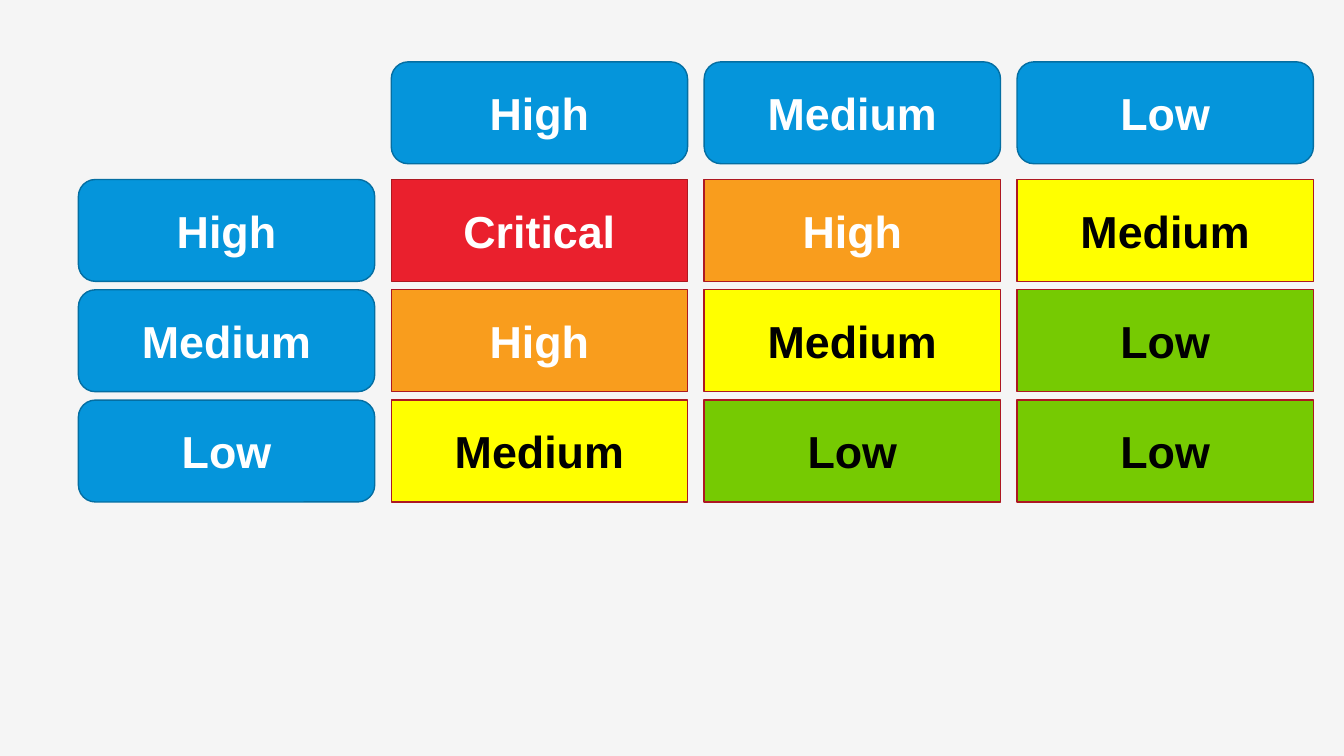
"""Build a slide with a three by three priority matrix."""
from pptx import Presentation
from pptx.dml.color import RGBColor
from pptx.enum.shapes import MSO_SHAPE
from pptx.enum.text import MSO_ANCHOR, PP_ALIGN
from pptx.util import Pt

COLORS = {
    "background": "F5F5F5",
    "header": "0595DB",
    "header_line": "046EA2",
    "cell_line": "AD1821",
    "Critical": "EA202D",
    "High": "F99D1D",
    "Medium": "FFFF00",
    "Low": "76CA02",
    "light": "FFFFFF",
    "dark": "000000",
}
LEVELS = ["High", "Medium", "Low"]
PRIORITIES = [
    ["Critical", "High", "Medium"],
    ["High", "Medium", "Low"],
    ["Medium", "Low", "Low"],
]
CELL_WIDTH, CELL_HEIGHT = 211.7, 72.8
COLUMN_STEP, ROW_STEP = 223.5, 78.8
HEADER_STEP = 84


def color(name):
    return RGBColor.from_string(COLORS[name])


def add_cell(page, kind, left, top, label, fill, line, ink):
    cell = page.shapes.add_shape(
        kind, Pt(left), Pt(top), Pt(CELL_WIDTH), Pt(CELL_HEIGHT))
    cell.shadow.inherit = False
    cell.fill.solid()
    cell.fill.fore_color.rgb = color(fill)
    cell.line.color.rgb = color(line)
    cell.line.width = Pt(1)
    cell.text_frame.vertical_anchor = MSO_ANCHOR.MIDDLE
    para = cell.text_frame.paragraphs[0]
    para.text = label
    para.alignment = PP_ALIGN.CENTER
    para.font.name = "Arial"
    para.font.size = Pt(32)
    para.font.bold = True
    para.font.color.rgb = color(ink)


def add_header(page, left, top, label):
    add_cell(page, MSO_SHAPE.ROUNDED_RECTANGLE, left, top, label,
             "header", "header_line", "light")


def add_priority(page, left, top, label):
    ink = "light" if label in ("Critical", "High") else "dark"
    add_cell(page, MSO_SHAPE.RECTANGLE, left, top, label,
             label, "cell_line", ink)


def add_matrix(page, left, top):
    columns = [left + COLUMN_STEP * (index + 1) for index in range(3)]
    rows = [top + HEADER_STEP + ROW_STEP * index for index in range(3)]
    for column, level in zip(columns, LEVELS):
        add_header(page, column, top, level)
    for row, level, priorities in zip(rows, LEVELS, PRIORITIES):
        add_header(page, left, row, level)
        for column, priority in zip(columns, priorities):
            add_priority(page, column, row, priority)


deck = Presentation()
deck.slide_width, deck.slide_height = Pt(960), Pt(540)
page = deck.slides.add_slide(deck.slide_layouts[6])
page.background.fill.solid()
page.background.fill.fore_color.rgb = color("background")
add_matrix(page, 56, 44.2)
deck.save("out.pptx")
